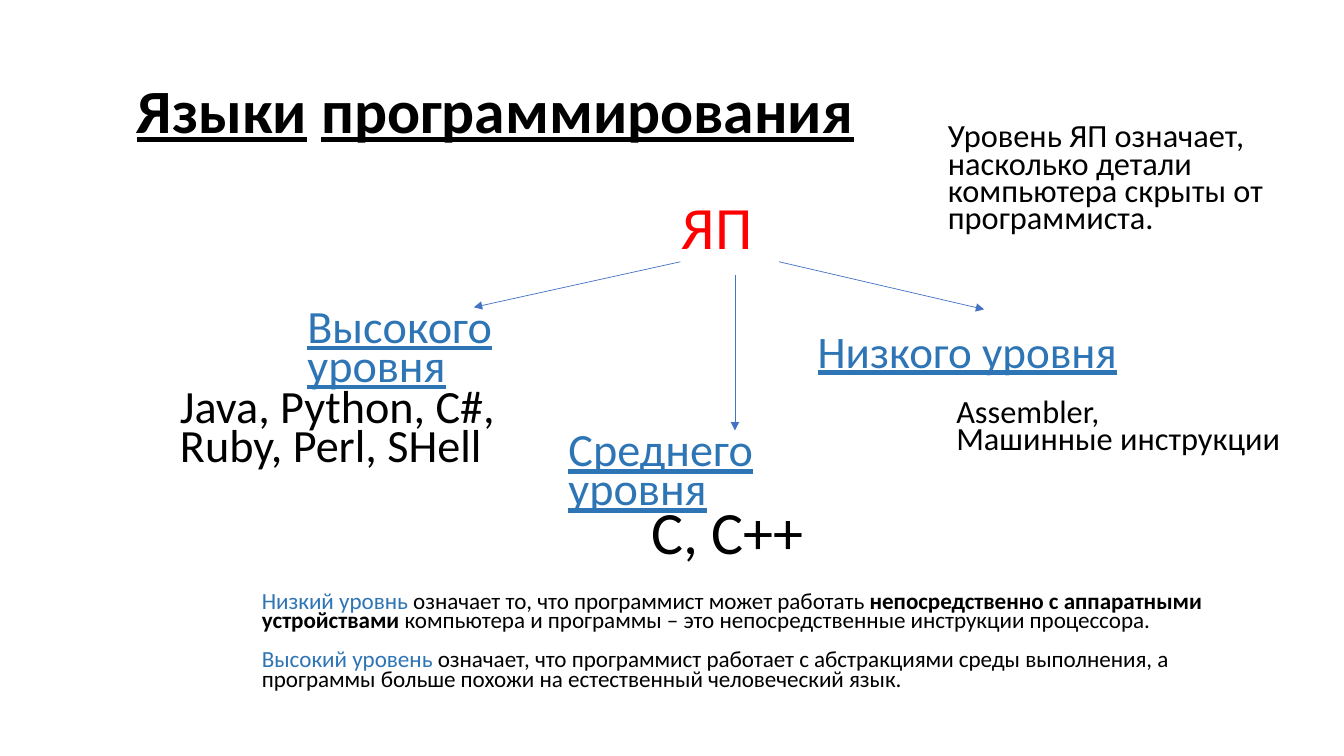
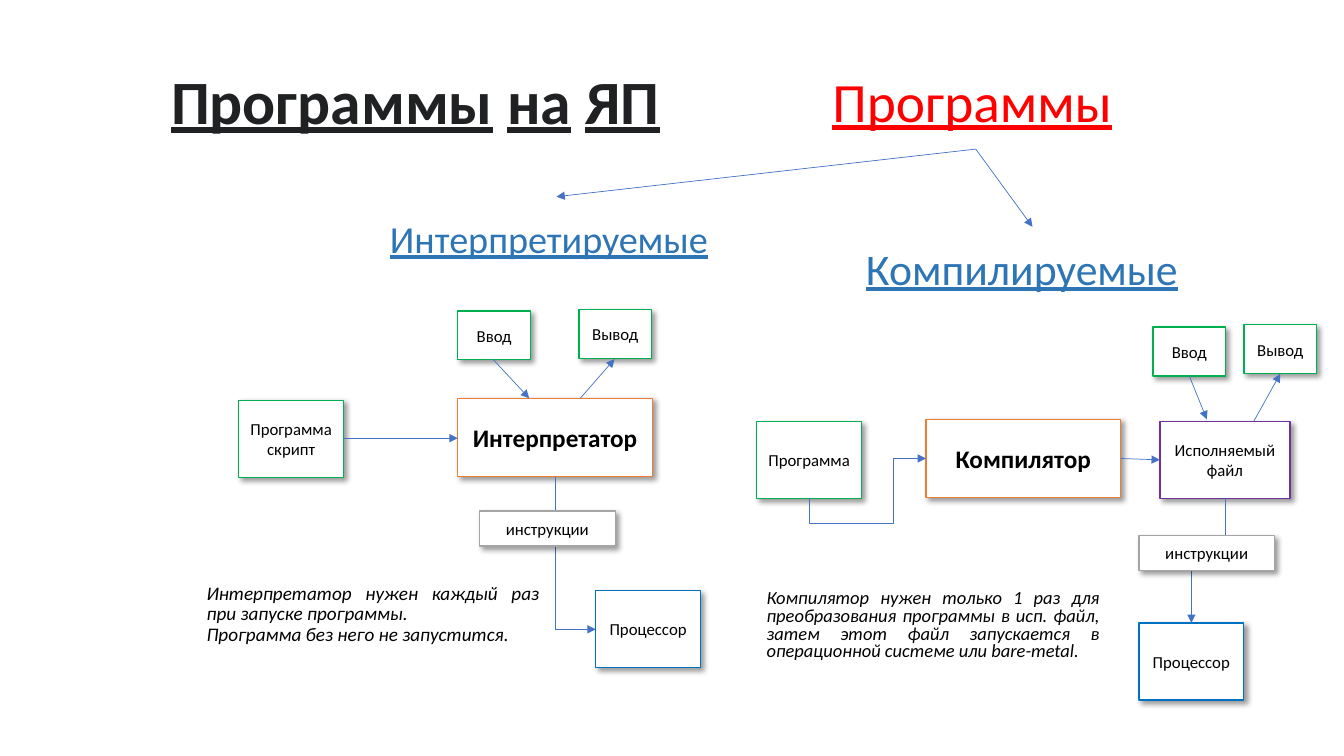
from dataclasses import dataclass

from lxml import etree
from pptx import Presentation
from pptx.dml.color import RGBColor
from pptx.enum.shapes import MSO_CONNECTOR, MSO_SHAPE
from pptx.enum.text import MSO_ANCHOR, MSO_AUTO_SIZE, PP_ALIGN
from pptx.oxml.ns import qn
from pptx.util import Pt

FONT = "Calibri"
BLACK, WHITE, RED, BLUE = "000000", "FFFFFF", "FF0000", "2E75B6"
ARROW, GREEN, ORANGE = "4472C4", "00B050", "ED7D31"
PROCESSOR_BLUE, PURPLE, GREY = "0070C0", "7030A0", "A5A5A5"
LEFT, CENTER, JUSTIFY = PP_ALIGN.LEFT, PP_ALIGN.CENTER, PP_ALIGN.JUSTIFY
MIDDLE, NO_FIT = MSO_ANCHOR.MIDDLE, MSO_AUTO_SIZE.NONE
STRAIGHT, ELBOW, RECT = MSO_CONNECTOR.STRAIGHT, MSO_CONNECTOR.ELBOW, MSO_SHAPE.RECTANGLE
TOP_SITE, LEFT_SITE, BOTTOM_SITE = 0, 1, 2

LABEL = (252, 63)
STAGE, UNIT, PORT, FILE, NOTE = (139, 56), (75, 55), (52, 35), (93, 55), (97, 25)


@dataclass(frozen=True)
class Run:
    text: str
    color: str = BLACK
    bold: bool = False
    italic: bool = False
    underline: bool = False


@dataclass(frozen=True)
class Label:
    x: float
    y: float
    paragraphs: list[list[Run]]
    size: float
    spacing: float = 0.9
    extent: tuple[float, float] = LABEL
    align: PP_ALIGN = LEFT
    gap: float = 0


@dataclass(frozen=True)
class Box:
    x: float
    y: float
    extent: tuple[float, float]
    lines: tuple[str, ...]
    outline: str


@dataclass(frozen=True)
class Elbow:
    """An elbow between two boxes; quarter is its rotation in quarter turns."""
    begin: str
    begin_site: int
    end: str
    end_site: int
    preset: str
    quarter: int
    flips: tuple[str, ...] = ()
    adjust: tuple[int, ...] = ()


def rgb(color: str) -> RGBColor:
    return RGBColor.from_string(color)


def write(tf, paragraphs: list[list[Run]], size: float, spacing: float = 1,
          align: PP_ALIGN = LEFT, gap: float = 0) -> None:
    tf.word_wrap = True
    tf.auto_size = NO_FIT
    tf.vertical_anchor = MIDDLE
    for i, runs in enumerate(paragraphs):
        p = tf.add_paragraph() if i else tf.paragraphs[0]
        p.alignment = align
        p.line_spacing = spacing
        p.space_before = Pt(gap if i else 0)
        for run in runs:
            r = p.add_run()
            r.text = run.text
            r.font.name, r.font.size = FONT, Pt(size)
            r.font.color.rgb = rgb(run.color)
            r.font.bold, r.font.italic = run.bold, run.italic
            r.font.underline = run.underline


def add_titled_slide(prs, words: list[str], color: str,
                     frame: tuple[float, float, float, float]):
    """Add a slide whose title words are underlined one by one."""
    s = prs.slides.add_slide(prs.slide_layouts[5])
    title = s.shapes.title
    title.left, title.top, title.width, title.height = map(Pt, frame)
    runs = []
    for i, word in enumerate(words):
        if i:
            runs.append(Run(" ", color, bold=True))
        runs.append(Run(word, color, bold=True, underline=True))
    write(title.text_frame, [runs], 44, 0.9)
    return s


def add_label(s, label: Label) -> None:
    sp = s.shapes.add_textbox(Pt(label.x), Pt(label.y), *map(Pt, label.extent))
    write(sp.text_frame, label.paragraphs, label.size, label.spacing, label.align, label.gap)


def add_box(s, box: Box):
    sp = s.shapes.add_shape(RECT, Pt(box.x), Pt(box.y), *map(Pt, box.extent))
    sp.fill.solid()
    sp.fill.fore_color.rgb = rgb(WHITE)
    sp.line.color.rgb = rgb(box.outline)
    sp.line.width = Pt(1)
    sp.shadow.inherit = False
    effects = sp._element.spPr.find(qn("a:effectLst"))
    shadow = etree.SubElement(effects, qn("a:outerShdw"), blurRad=str(Pt(4)),
                              dist=str(Pt(3)), dir="2700000", algn="tl", rotWithShape="0")
    color = etree.SubElement(shadow, qn("a:srgbClr"), val=BLACK)
    etree.SubElement(color, qn("a:alpha"), val="40000")
    is_stage = box.extent == STAGE
    write(sp.text_frame, [[Run(line, bold=is_stage)] for line in box.lines],
          18 if is_stage else 12, align=CENTER)
    return sp


def style_arrow(c) -> None:
    c.line.color.rgb = rgb(ARROW)
    c.line.width = Pt(0.5)
    etree.SubElement(c.line._get_or_add_ln(), qn("a:tailEnd"), type="triangle")
    etree.SubElement(c._element.spPr, qn("a:effectLst"))


def add_arrow(s, x1: float, y1: float, x2: float, y2: float) -> None:
    style_arrow(s.shapes.add_connector(STRAIGHT, Pt(x1), Pt(y1), Pt(x2), Pt(y2)))


def add_elbow(s, shapes: dict, elbow: Elbow) -> None:
    c = s.shapes.add_connector(ELBOW, 0, 0, 0, 0)
    c.begin_connect(shapes[elbow.begin], elbow.begin_site)
    c.end_connect(shapes[elbow.end], elbow.end_site)
    # An odd quarter turn swaps width and height around the same centre.
    shift = (c.width - c.height) // 2
    c.left, c.top, c.width, c.height = c.left + shift, c.top - shift, c.height, c.width
    xfrm = c._element.spPr.find(qn("a:xfrm"))
    for name in ("flipH", "flipV"):
        xfrm.set(name, "1" if name in elbow.flips else "0")
    xfrm.set("rot", str(elbow.quarter * 5400000))
    geometry = c._element.spPr.find(qn("a:prstGeom"))
    geometry.set("prst", elbow.preset)
    guides = geometry.find(qn("a:avLst"))
    if guides is None:
        guides = etree.SubElement(geometry, qn("a:avLst"))
    for i, value in enumerate(elbow.adjust, 1):
        etree.SubElement(guides, qn("a:gd"), name=f"adj{i}", fmla=f"val {value}")
    style_arrow(c)


def heading(text: str, color: str = BLUE) -> list[list[Run]]:
    return [[Run(text, color, underline=True)]]


def plain(*lines: str, color: str = BLACK, italic: bool = False) -> list[list[Run]]:
    return [[Run(line, color, italic=italic)] for line in lines]


LEVEL_LABELS = [
    Label(480, 133, plain("ЯП", color=RED), 42.9, extent=(71, 63)),
    Label(212.5, 219.5, heading("Высокого уровня"), 33, 0.7, (244, 63)),
    Label(577, 221, heading("Низкого уровня"), 32.2),
    Label(399, 307.5, heading("Среднего уровня"), 33, 0.7, (244, 63)),
    Label(676, 274.5, plain("Assembler,", "Машинные инструкции"), 23.1, 0.7),
    Label(458, 350.5, plain("С, С++"), 42.9),
    Label(121.5, 276.5, plain("Java, Python, C#, Ruby, Perl, SHell"), 33, 0.7),
    Label(670, 83.5, plain("Уровень ЯП означает, насколько детали компьютера скрыты "
                           "от программиста."), 23.1, 0.7, (263.5, 91)),
    Label(180, 414, [
        [Run("Низкий уровнь ", BLUE),
         Run("означает то, что программист может работать "),
         Run("непосредственно с аппаратными устройствами", bold=True),
         Run(" компьютера и программы – это непосредственные инструкции процессора.")],
        [Run("Высокий уровень ", BLUE),
         Run("означает, что программист работает с абстракциями среды выполнения, "
             "а программы больше похожи на естественный человеческий язык.")],
    ], 16.5, 0.7, (739, 90), gap=14),
]
LEVEL_ARROWS = [
    (486, 187, 338.5, 219.5),
    (556.5, 187, 703, 221),
    (525, 196.5, 525, 307.5),
]

PROGRAM_LABELS = [
    Label(587.5, 43, heading("Программы", RED), 39.6, extent=(220, 63)),
    Label(271.5, 140.5, heading("Интерпретируемые"), 27.3),
    Label(611.5, 162, heading("Компилируемые"), 31.2),
    Label(540.5, 415.5, plain(
        "Компилятор нужен только 1 раз для преобразования программы в исп. файл, "
        "затем этот файл запускается в операционной системе или bare-metal.",
        italic=True), 13.2, 0.8, align=JUSTIFY),
    Label(140.5, 407.5, plain(
        "Интерпретатор нужен каждый раз при запуске программы.",
        "Программа без него не запустится.", italic=True), 13.7, align=JUSTIFY),
]
PROGRAM_BOXES = {
    "interpreter": Box(327, 284.5, STAGE, ("Интерпретатор",), ORANGE),
    "compiler": Box(661.5, 299.5, STAGE, ("Компилятор",), ORANGE),
    "script": Box(170.5, 286, UNIT, ("Программа", "скрипт"), GREEN),
    "interpreter_cpu": Box(425.5, 422, UNIT, ("Процессор",), PROCESSOR_BLUE),
    "program": Box(540.5, 301, UNIT, ("Программа",), GREEN),
    "executable": Box(828.5, 301, FILE, ("Исполняемый файл",), PURPLE),
    "executable_cpu": Box(813.5, 445, UNIT, ("Процессор",), PROCESSOR_BLUE),
}
FRONT_BOXES = [
    Box(342.5, 365, NOTE, ("инструкции",), GREY),
    Box(813.5, 382.5, NOTE, ("инструкции",), GREY),
    Box(327, 222, PORT, ("Ввод",), GREEN),
    Box(413.5, 221, PORT, ("Вывод",), GREEN),
    Box(823.5, 233.5, PORT, ("Ввод",), GREEN),
    Box(888.5, 232, PORT, ("Вывод",), GREEN),
]
ELBOWS = [
    Elbow("interpreter", BOTTOM_SITE, "interpreter_cpu", LEFT_SITE,
          "bentConnector2", 3, ("flipH",)),
    Elbow("program", BOTTOM_SITE, "compiler", LEFT_SITE,
          "bentConnector4", 1, ("flipH", "flipV"), (-64000, 72400)),
    Elbow("executable", BOTTOM_SITE, "executable_cpu", TOP_SITE,
          "bentConnector3", 1, (), (50000,)),
]
PROGRAM_ARROWS = [
    (697, 106.5, 397.5, 140.5),
    (697, 106.5, 737.5, 162),
    (245.5, 313, 327, 313),
    (352, 256.5, 378, 284.5),
    (414.5, 284.5, 439, 256.5),
    (800.5, 327.5, 828.5, 328.5),
    (849.5, 268.5, 862, 299.5),
    (895.5, 301, 914.5, 267),
]


def build_levels(prs) -> None:
    s = add_titled_slide(prs, ["Языки", "программирования"], BLACK, (90.5, 29, 828, 104))
    for label in LEVEL_LABELS:
        add_label(s, label)
    for arrow in LEVEL_ARROWS:
        add_arrow(s, *arrow)


def build_programs(prs) -> None:
    s = add_titled_slide(prs, ["Программы", "на", "ЯП"], "202122", (115, 22.5, 367, 104))
    shapes = {name: add_box(s, box) for name, box in PROGRAM_BOXES.items()}
    for elbow in ELBOWS:
        add_elbow(s, shapes, elbow)
    for box in FRONT_BOXES:
        add_box(s, box)
    for label in PROGRAM_LABELS:
        add_label(s, label)
    for arrow in PROGRAM_ARROWS:
        add_arrow(s, *arrow)


def main() -> None:
    prs = Presentation()
    prs.slide_width, prs.slide_height = Pt(960), Pt(540)
    build_levels(prs)
    build_programs(prs)
    prs.save("out.pptx")


if __name__ == "__main__":
    main()
